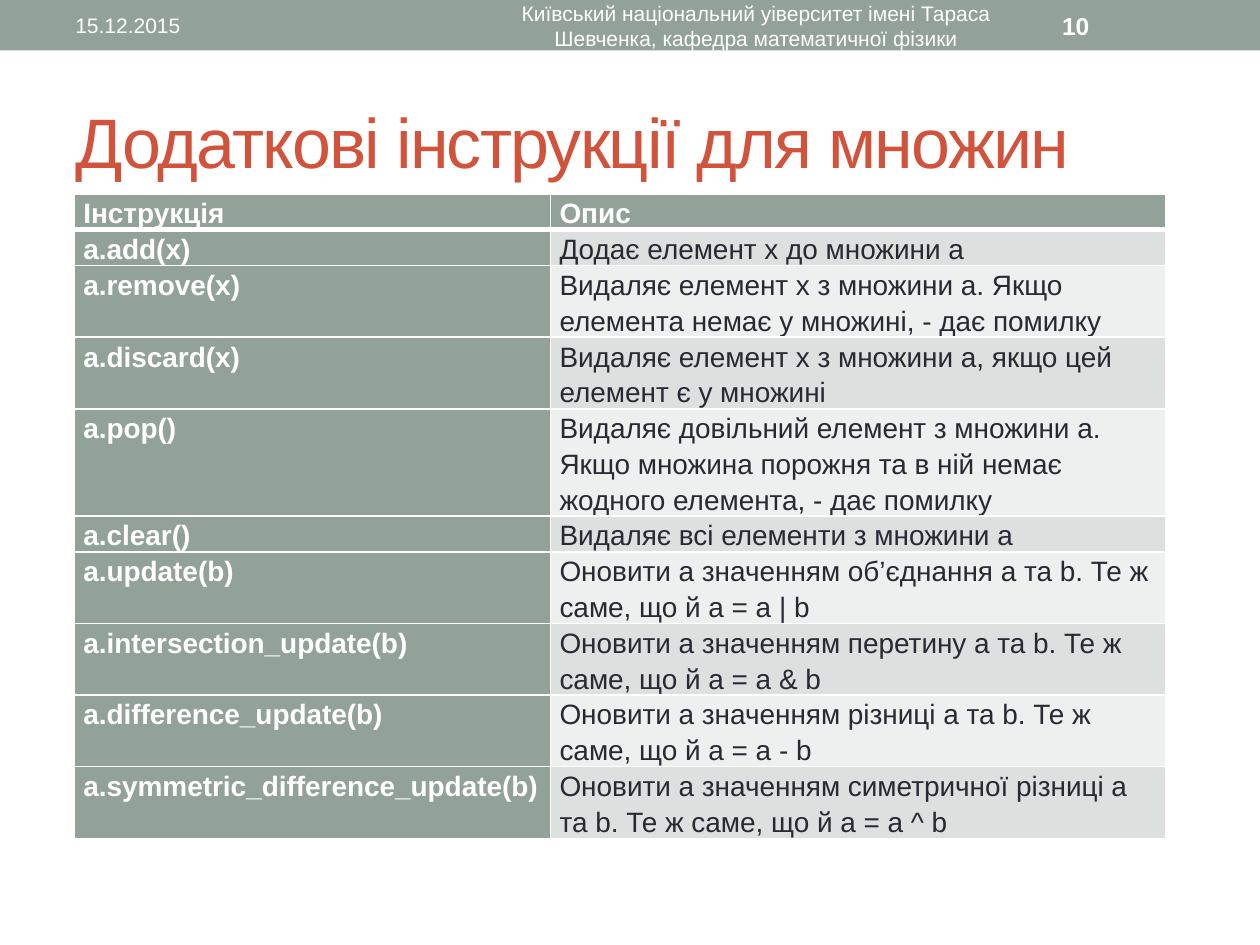
from lxml.etree import SubElement
from pptx import Presentation
from pptx.dml.color import RGBColor
from pptx.enum.shapes import MSO_SHAPE
from pptx.enum.text import MSO_ANCHOR, MSO_AUTO_SIZE, PP_ALIGN
from pptx.oxml.ns import qn
from pptx.util import Cm, Pt

SAGE = RGBColor(0x93, 0xA2, 0x99)
RUST = RGBColor(0xD2, 0x53, 0x3C)
INK = RGBColor(0x29, 0x29, 0x34)
WHITE = RGBColor(0xFF, 0xFF, 0xFF)
BANDS = (RGBColor(0xDC, 0xE0, 0xDE), RGBColor(0xEE, 0xF0, 0xEF))
FONT = "Arial"
LINE_HEIGHT = Cm(0.72)

HEADINGS = ("Інструкція", "Опис", 1)
INSTRUCTIONS = [
    ("a.add(x)", "Додає елемент x до множини a", 1),
    ("a.remove(x)", "Видаляє елемент x з множини a. Якщо елемента немає у множині, - дає помилку", 2),
    ("a.discard(x)", "Видаляє елемент x з множини a, якщо цей елемент є у множині", 2),
    ("a.pop()", "Видаляє довільний елемент з множини a. Якщо множина порожня та в ній "
     "немає жодного елемента, - дає помилку", 3),
    ("a.clear()", "Видаляє всі елементи з множини a", 1),
    ("a.update(b)", "Оновити a значенням об’єднання a та b. Те ж саме, що й a = a | b", 2),
    ("a.intersection_update(b)", "Оновити a значенням перетину a та b. Те ж саме, що й a = a & b", 2),
    ("a.difference_update(b)", "Оновити a значенням різниці a та b. Те ж саме, що й a = a - b", 2),
    ("a.symmetric_difference_update(b)",
     "Оновити a значенням симетричної різниці a та b. Те ж саме, що й a = a ^ b", 2),
]


def format_text(frame, size, color, bold=False, align=PP_ALIGN.LEFT):
    """Apply one font and alignment to all text of a frame."""
    for para in frame.paragraphs:
        para.alignment = align
        for span in para.runs:
            span.font.name = FONT
            span.font.size = Pt(size)
            span.font.bold = bold
            span.font.color.rgb = color


def add_label(page, left, top, width, height, text, size, bold=False, align=PP_ALIGN.LEFT):
    """Add a vertically centred white label."""
    box = page.shapes.add_textbox(left, top, width, height)
    frame = box.text_frame
    frame.word_wrap = True
    frame.auto_size = MSO_AUTO_SIZE.NONE
    frame.vertical_anchor = MSO_ANCHOR.MIDDLE
    frame.text = text
    format_text(frame, size, WHITE, bold, align)


def add_header_band(page, left, top, width, height):
    """Draw the top band with date, department and page number."""
    band = page.shapes.add_shape(MSO_SHAPE.RECTANGLE, left, top, width, height)
    band.shadow.inherit = False
    band.fill.solid()
    band.fill.fore_color.rgb = SAGE
    band.line.fill.background()
    label_top = top + Cm(0.05)
    label_height = height - Cm(0.1)
    add_label(page, left + Cm(1.27), label_top, Cm(8.05), label_height, "15.12.2015", 12)
    add_label(page, left + Cm(9.53), label_top, Cm(11.43), label_height,
              "Київський національний уіверситет імені Тараса Шевченка, "
              "кафедра математичної фізики", 12, align=PP_ALIGN.CENTER)
    add_label(page, left + Cm(21.16), label_top, Cm(2.97), label_height, "10", 14, bold=True)


def place_title(page, left, top, width, height):
    """Fill and position the title placeholder."""
    title = page.shapes.title
    title.left, title.top, title.width, title.height = left, top, width, height
    frame = title.text_frame
    frame.text = "Додаткові інструкції для множин"
    frame.auto_size = MSO_AUTO_SIZE.NONE
    frame.vertical_anchor = MSO_ANCHOR.MIDDLE
    format_text(frame, 40, RUST)
    for span in frame.paragraphs[0].runs:
        span.font._element.set("spc", "-100")


def set_borders(cell, top, bottom):
    """Give a cell white borders, with top and bottom widths in points."""
    properties = cell._tc.get_or_add_tcPr()
    for side, width in (("L", 1), ("R", 1), ("T", top), ("B", bottom)):
        line = SubElement(properties, qn(f"a:ln{side}"), w=str(Pt(width)))
        fill = SubElement(line, qn("a:solidFill"))
        SubElement(fill, qn("a:srgbClr"), val=str(WHITE))


def fill_cell(cell, text, fill, color, bold, top, bottom):
    """Write and format one table cell."""
    set_borders(cell, top, bottom)
    cell.fill.solid()
    cell.fill.fore_color.rgb = fill
    cell.margin_left = cell.margin_right = Cm(0.18)
    cell.margin_top = cell.margin_bottom = 0
    cell.text = text
    cell.text_frame.paragraphs[0].line_spacing = 1.15
    format_text(cell.text_frame, 16, color, bold)


def add_instruction_table(page, left, top, name_width, description_width):
    """Add the table of set instructions, each row as tall as its lines."""
    rows = [HEADINGS] + INSTRUCTIONS
    height = LINE_HEIGHT * sum(lines for _, _, lines in rows)
    table = page.shapes.add_table(len(rows), 2, left, top,
                                  name_width + description_width, height).table
    table.columns[0].width = name_width
    table.columns[1].width = description_width
    for index, (name, description, lines) in enumerate(rows):
        table.rows[index].height = LINE_HEIGHT * lines
        heading = index == 0
        borders = (3 if index == 1 else 1, 3 if heading else 1)
        fill_cell(table.cell(index, 0), name, SAGE, WHITE, True, *borders)
        fill_cell(table.cell(index, 1), description,
                  SAGE if heading else BANDS[(index - 1) % 2],
                  WHITE if heading else INK, heading, *borders)


def main():
    """Build and save the deck."""
    deck = Presentation()
    deck.slide_width, deck.slide_height = Cm(25.4), Cm(19.05)
    page = deck.slides.add_slide(deck.slide_layouts[5])
    add_header_band(page, 0, 0, deck.slide_width, Cm(1.02))
    place_title(page, Cm(1.27), Cm(1.47), Cm(22.86), Cm(2.74))
    add_instruction_table(page, Cm(1.5), Cm(3.91), Cm(9.6), Cm(12.4))
    deck.save("out.pptx")


if __name__ == "__main__":
    main()
